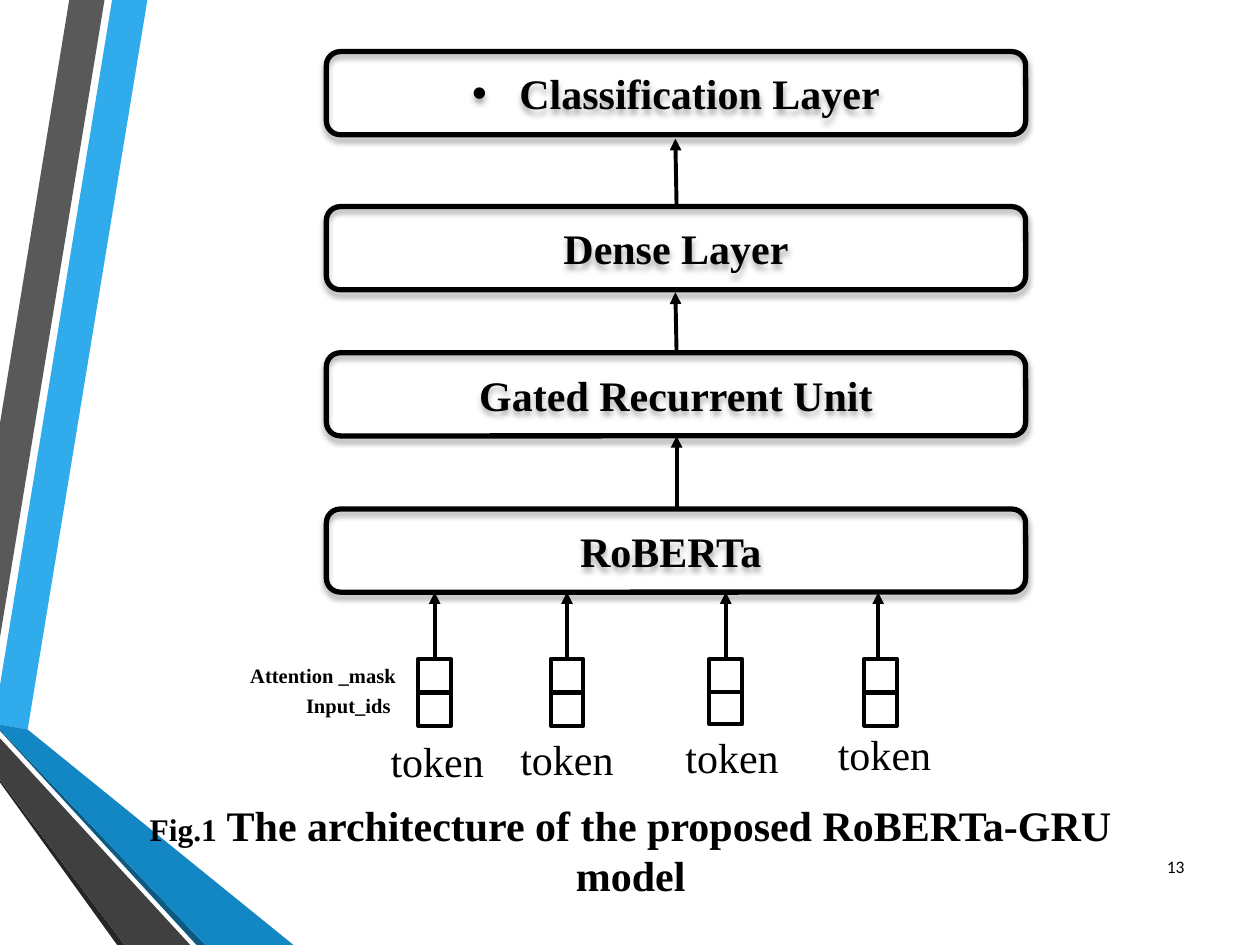
from dataclasses import dataclass

from lxml.etree import SubElement
from pptx import Presentation
from pptx.dml.color import RGBColor
from pptx.enum.shapes import MSO_CONNECTOR, MSO_SHAPE
from pptx.enum.text import MSO_ANCHOR, MSO_AUTO_SIZE, PP_ALIGN
from pptx.oxml import parse_xml
from pptx.oxml.ns import nsdecls, qn
from pptx.util import Inches, Pt


@dataclass(frozen=True)
class Theme:
    font: str = "Times New Roman"
    number_font: str = "Calibri"
    ink: RGBColor = RGBColor(0, 0, 0)
    sky: RGBColor = RGBColor(0x30, 0xAC, 0xEC)
    blue: RGBColor = RGBColor(0x12, 0x87, 0xC3)
    navy: RGBColor = RGBColor(0x0C, 0x5A, 0x82)
    gray: RGBColor = RGBColor(0x59, 0x59, 0x59)
    charcoal: RGBColor = RGBColor(0x40, 0x40, 0x40)
    coal: RGBColor = RGBColor(0x26, 0x26, 0x26)
    large: Pt = Pt(24)
    figure: Pt = Pt(18)
    small: Pt = Pt(11.7)
    number: Pt = Pt(10)
    box_line: Pt = Pt(3)
    thin_line: Pt = Pt(2.25)


theme = Theme()


def write(shape, text, size, bold=False, align=PP_ALIGN.CENTER, font=theme.font):
    frame = shape.text_frame
    frame.text = text
    frame.word_wrap = True
    frame.auto_size = MSO_AUTO_SIZE.NONE
    frame.vertical_anchor = MSO_ANCHOR.MIDDLE
    paragraph = frame.paragraphs[0]
    paragraph.alignment = align
    paragraph.space_before = Pt(0)
    for run in paragraph.runs:
        run.font.name, run.font.size, run.font.bold = font, size, bold
        run.font.color.rgb = theme.ink


def add_arrow(x1, y1, x2, y2):
    arrow = slide.shapes.add_connector(
        MSO_CONNECTOR.STRAIGHT, Inches(x1), Inches(y1), Inches(x2), Inches(y2))
    arrow.line.color.rgb = theme.ink
    arrow.line.width = theme.thin_line
    SubElement(arrow.line._get_or_add_ln(), qn("a:tailEnd"), type="triangle")
    SubElement(arrow._element.spPr, qn("a:effectLst"))


prs = Presentation()
prs.slide_width, prs.slide_height = Inches(10), Inches(7.5)
slide = prs.slides.add_slide(prs.slide_layouts[1])
caption, top_layer = slide.placeholders[0], slide.placeholders[1]

# Ribbons in the left corner, placed behind everything else
ribbons = [
    (theme.sky, [(0, 5.44), (0, 5.75), (0.22, 5.79), (1.17, 0), (0.89, 0)]),
    (theme.gray, [(0.83, 0), (0.55, 0), (0, 3.36), (0, 5.06)]),
    (theme.coal, [(0, 6.19), (0, 6.21), (0.93, 7.5), (0.99, 7.5)]),
    (theme.navy, [(0, 5.79), (0, 5.8), (1.56, 7.5), (1.63, 7.5)]),
    (theme.blue, [(0, 5.79), (1.63, 7.5), (2.33, 7.5), (0.22, 5.79), (0, 5.75)]),
    (theme.charcoal, [(0, 6.19), (0.99, 7.5), (1.51, 7.5), (0, 5.86)]),
]
for depth, (color, corners) in enumerate(ribbons):
    points = [(Inches(x), Inches(y)) for x, y in corners]
    outline = slide.shapes.build_freeform(*points[0])
    outline.add_line_segments(points[1:], close=True)
    ribbon = outline.convert_to_shape()
    ribbon.shadow.inherit = False
    ribbon.fill.solid()
    ribbon.fill.fore_color.rgb = color
    ribbon.line.fill.background()
    slide.shapes._spTree.insert(2 + depth, ribbon._element)

# Caption
caption.left, caption.top = Inches(0.98), Inches(6.41)
caption.width, caption.height = Inches(8.05), Inches(0.67)
write(caption, "Fig.1", theme.figure, bold=True)
caption_text = caption.text_frame.paragraphs[0].add_run()
caption_text.text = " The architecture of the proposed RoBERTa-GRU model"
caption_text.font.name, caption_text.font.size = theme.font, theme.large
caption_text.font.bold = True
caption_text.font.color.rgb = theme.ink

# Slide number
page_number = slide.shapes.add_textbox(Inches(9.03), Inches(6.68), Inches(0.47), Inches(0.4))
write(page_number, "13", theme.number, align=PP_ALIGN.RIGHT, font=theme.number_font)

# Model layers, top to bottom; the first is the body placeholder
layer_left, layer_width, layer_height = 2.59, 5.55, 0.66
layers = [("Classification Layer", 0.41), ("Dense Layer", 1.64),
          ("Gated Recurrent Unit", 2.8), ("RoBERTa ", 4.04)]
for name, top in layers:
    place = (Inches(layer_left), Inches(top), Inches(layer_width), Inches(layer_height))
    if name == layers[0][0]:
        layer = top_layer
        layer.left, layer.top, layer.width, layer.height = place
        layer._element.spPr.append(parse_xml(
            f'<a:prstGeom {nsdecls("a")} prst="roundRect"><a:avLst/></a:prstGeom>'))
        bullet = layer.text_frame.paragraphs[0]._p.get_or_add_pPr()
        bullet.set("marL", "0")
        bullet.set("indent", "0")
        SubElement(bullet, qn("a:buNone"))
    else:
        layer = slide.shapes.add_shape(MSO_SHAPE.ROUNDED_RECTANGLE, *place)
    layer.fill.background()
    layer.line.color.rgb = theme.ink
    layer.line.width = theme.box_line
    layer.shadow.inherit = False
    layer._element.spPr.find(qn("a:effectLst")).append(parse_xml(
        f'<a:outerShdw {nsdecls("a")} blurRad="{Pt(3.5)}" dist="{Pt(2.2)}" dir="5400000" '
        f'rotWithShape="0"><a:srgbClr val="{theme.ink}"><a:alpha val="32000"/></a:srgbClr>'
        '</a:outerShdw>'))
    write(layer, name, theme.large, bold=True)
    layer.text_frame.paragraphs[0].space_after = Pt(6)

# Arrows between layers
for start, tip_x, tip_y in [(4.04, 5.37, 3.46), (2.8, 5.36, 2.32), (1.64, 5.36, 1.1)]:
    add_arrow(5.37, start, tip_x, tip_y)

# Tokens: a pair of cells, an arrow into RoBERTa and a label
cell = 0.26
tokens = [  # cell left, lower cell top, arrow x, label left, label top
    (3.32, 5.5, 3.45, 3.0, 5.79),
    (4.37, 5.5, 4.5, 4.03, 5.78),
    (5.63, 5.49, 5.76, 5.34, 5.76),
    (6.86, 5.5, 6.97, 6.55, 5.74),
]
for cell_left, lower_top, arrow_x, label_left, label_top in tokens:
    for cell_top in (5.23, lower_top):
        token_cell = slide.shapes.add_shape(
            MSO_SHAPE.FLOWCHART_PROCESS, Inches(cell_left), Inches(cell_top),
            Inches(cell), Inches(cell))
        token_cell.shadow.inherit = False
        token_cell.fill.background()
        token_cell.line.color.rgb = theme.ink
        token_cell.line.width = theme.thin_line
    add_arrow(arrow_x, 5.22, arrow_x, 4.7)
    token_label = slide.shapes.add_textbox(
        Inches(label_left), Inches(label_top), Inches(0.94), Inches(0.49))
    write(token_label, "token ", theme.large)

# Names of the two cell rows
for row_name, left, top in [("Attention _mask ", 1.85, 5.16), ("Input_ids", 2.03, 5.4)]:
    row_label = slide.shapes.add_textbox(Inches(left), Inches(top), Inches(1.47), Inches(0.4))
    write(row_label, row_name, theme.small, bold=True)

prs.save("out.pptx")
